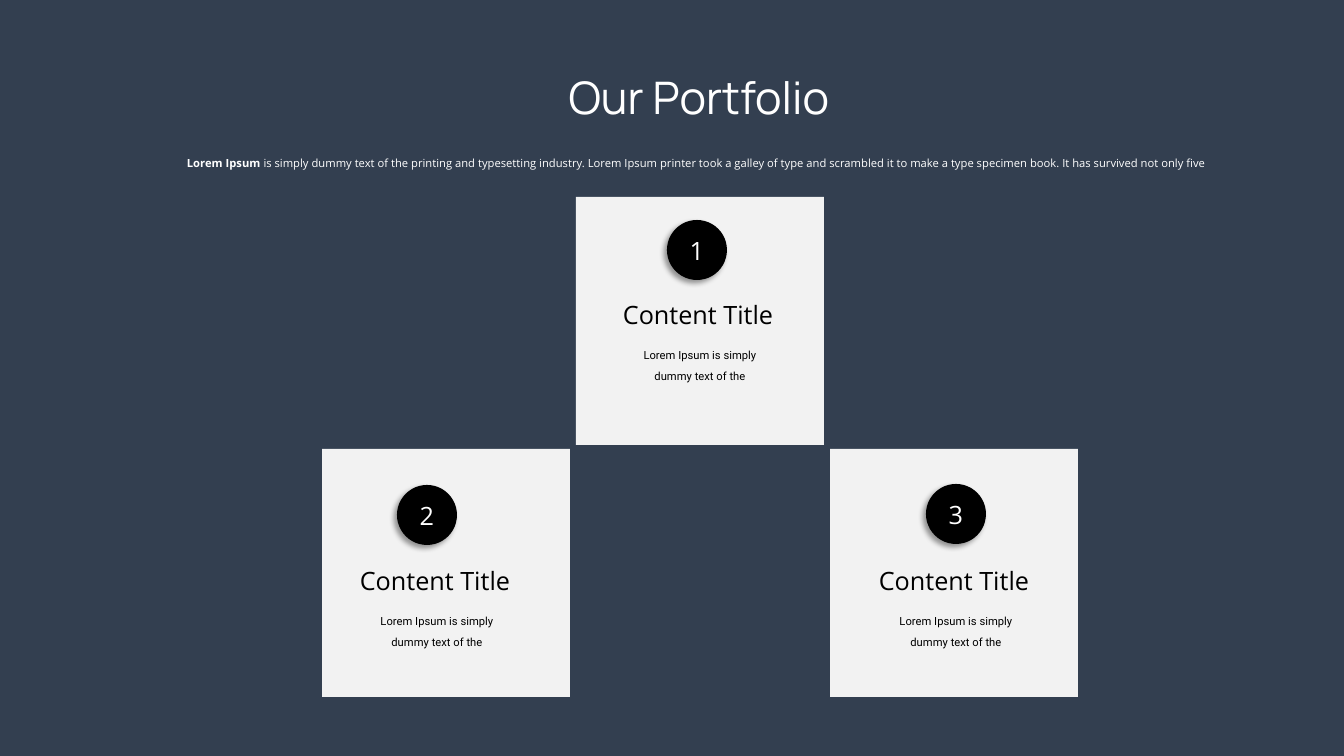
from lxml import etree
from pptx import Presentation
from pptx.dml.color import RGBColor
from pptx.enum.shapes import MSO_SHAPE
from pptx.enum.text import MSO_ANCHOR, PP_ALIGN
from pptx.oxml import parse_xml
from pptx.util import Emu, Pt

EMU_PER_PX = 12192000 / 1344
SLIDE_WIDTH, SLIDE_HEIGHT = 1344, 756
TITLE_ONLY = 5

RECTANGLE, OVAL = MSO_SHAPE.RECTANGLE, MSO_SHAPE.OVAL
TOP, MIDDLE = MSO_ANCHOR.TOP, MSO_ANCHOR.MIDDLE
LEFT, CENTER = PP_ALIGN.LEFT, PP_ALIGN.CENTER

NAVY = RGBColor(0x33, 0x3F, 0x50)
PALE = RGBColor(0xF2, 0xF2, 0xF2)
BLACK = RGBColor(0, 0, 0)
WHITE = RGBColor(0xFF, 0xFF, 0xFF)

CARD_SIZE = 248
CARD_STEP_X, CARD_STEP_Y = 254, 252
GRID_LEFT, GRID_TOP = 322, 197
BADGE_SIZE = 60

# number, column, row, badge offset, text offset
CARDS = [
    ("1", 1, 0, (91, 23), (37, 97)),
    ("2", 0, 1, (75, 36), (28, 111)),
    ("3", 2, 1, (96, 35), (39, 111)),
]

SHADOW_XML = (
    '<a:effectLst xmlns:a="http://schemas.openxmlformats.org/drawingml/2006/main">'
    '<a:outerShdw blurRad="50800" dist="38100" dir="8100000" algn="tr" rotWithShape="0">'
    '<a:srgbClr val="000000"><a:alpha val="40000"/></a:srgbClr>'
    '</a:outerShdw></a:effectLst>'
)


def px(length):
    """Turn a length in px into EMU."""
    return Emu(round(length * EMU_PER_PX))


def style(paragraph, size, font_name, color, alignment=LEFT, line_spacing=None):
    """Format a whole paragraph."""
    paragraph.alignment = alignment
    paragraph.line_spacing = line_spacing
    paragraph.font.size = Pt(size)
    paragraph.font.name = font_name
    paragraph.font.color.rgb = color


def add_text(slide, box, text, *formatting):
    """Add a wrapping text box and return its paragraph."""
    frame = slide.shapes.add_textbox(*map(px, box)).text_frame
    frame.word_wrap = True
    paragraph = frame.paragraphs[0]
    paragraph.add_run().text = text
    style(paragraph, *formatting)
    return paragraph


def add_filled(slide, kind, box, color):
    """Add a flat preset shape without an outline."""
    shape = slide.shapes.add_shape(kind, *map(px, box))
    shape.shadow.inherit = False
    shape.fill.solid()
    shape.fill.fore_color.rgb = color
    shape.line.fill.background()
    return shape


def add_badge(slide, left, top, number):
    """Add a numbered black circle with a soft shadow."""
    badge = add_filled(slide, OVAL, (left, top, BADGE_SIZE, BADGE_SIZE), BLACK)
    properties = badge.element.spPr
    empty_effects = properties.find("{*}effectLst")
    properties.replace(empty_effects, parse_xml(SHADOW_XML))
    frame = badge.text_frame
    frame.margin_left = frame.margin_right = frame.margin_top = frame.margin_bottom = 0
    frame.vertical_anchor = MIDDLE
    frame.word_wrap = False
    frame.text = number
    style(frame.paragraphs[0], 18, "Open Sans", WHITE, CENTER)


def add_card(slide, left, top, number, badge_offset, text_offset):
    """Add one portfolio card with its badge, heading and body."""
    add_filled(slide, RECTANGLE, (left, top, CARD_SIZE, CARD_SIZE), PALE)
    add_badge(slide, left + badge_offset[0], top + badge_offset[1], number)
    text_left, text_top = left + text_offset[0], top + text_offset[1]
    add_text(slide, (text_left, text_top, 175, 40), "Content Title",
             18, "Open Sans", BLACK)
    add_text(slide, (text_left + 20, text_top + 42, 134, 49),
             "Lorem Ipsum is simply dummy text of the",
             8, "Roboto", BLACK, CENTER, Pt(15))


def add_header(slide, left, top, width):
    """Place the slide title and the introduction line below it."""
    title = slide.shapes.title
    title.left, title.top = px(left + 373), px(top)
    title.width, title.height = px(298), px(64)
    frame = title.text_frame
    frame.text = "Our Portfolio"
    frame.vertical_anchor = TOP
    frame.word_wrap = True
    style(frame.paragraphs[0], 32, "Manrope", WHITE, CENTER, 1.0)
    introduction = add_text(slide, (left, top + 73, width, 33), "Lorem Ipsum",
                            8, "Open Sans", WHITE, LEFT, 2.0)
    introduction.runs[0].font.bold = True
    introduction.add_run().text = (
        " is simply dummy text of the printing and typesetting industry. "
        "Lorem Ipsum printer took a galley of type and scrambled it to make "
        "a type specimen book. It has survived not only five"
    )


def build_portfolio(presentation):
    """Build the portfolio slide."""
    slide = presentation.slides.add_slide(presentation.slide_layouts[TITLE_ONLY])
    slide.background.fill.solid()
    slide.background.fill.fore_color.rgb = NAVY
    add_header(slide, 177, 65, 1045)
    for number, column, row, badge_offset, text_offset in CARDS:
        add_card(slide, GRID_LEFT + column * CARD_STEP_X, GRID_TOP + row * CARD_STEP_Y,
                 number, badge_offset, text_offset)


def main():
    """Create and save the presentation."""
    presentation = Presentation()
    presentation.slide_width = px(SLIDE_WIDTH)
    presentation.slide_height = px(SLIDE_HEIGHT)
    build_portfolio(presentation)
    presentation.save("out.pptx")


if __name__ == "__main__":
    main()
